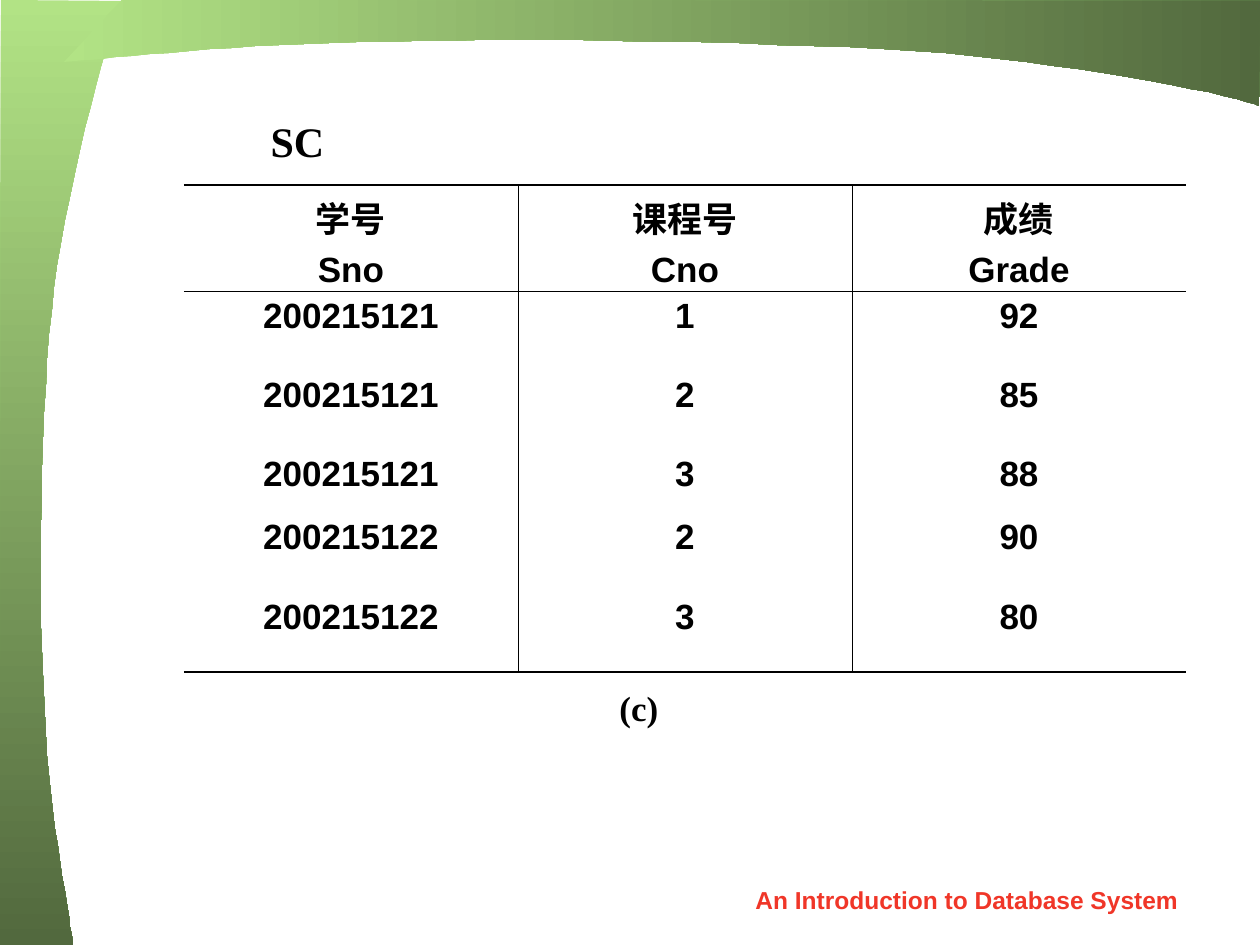
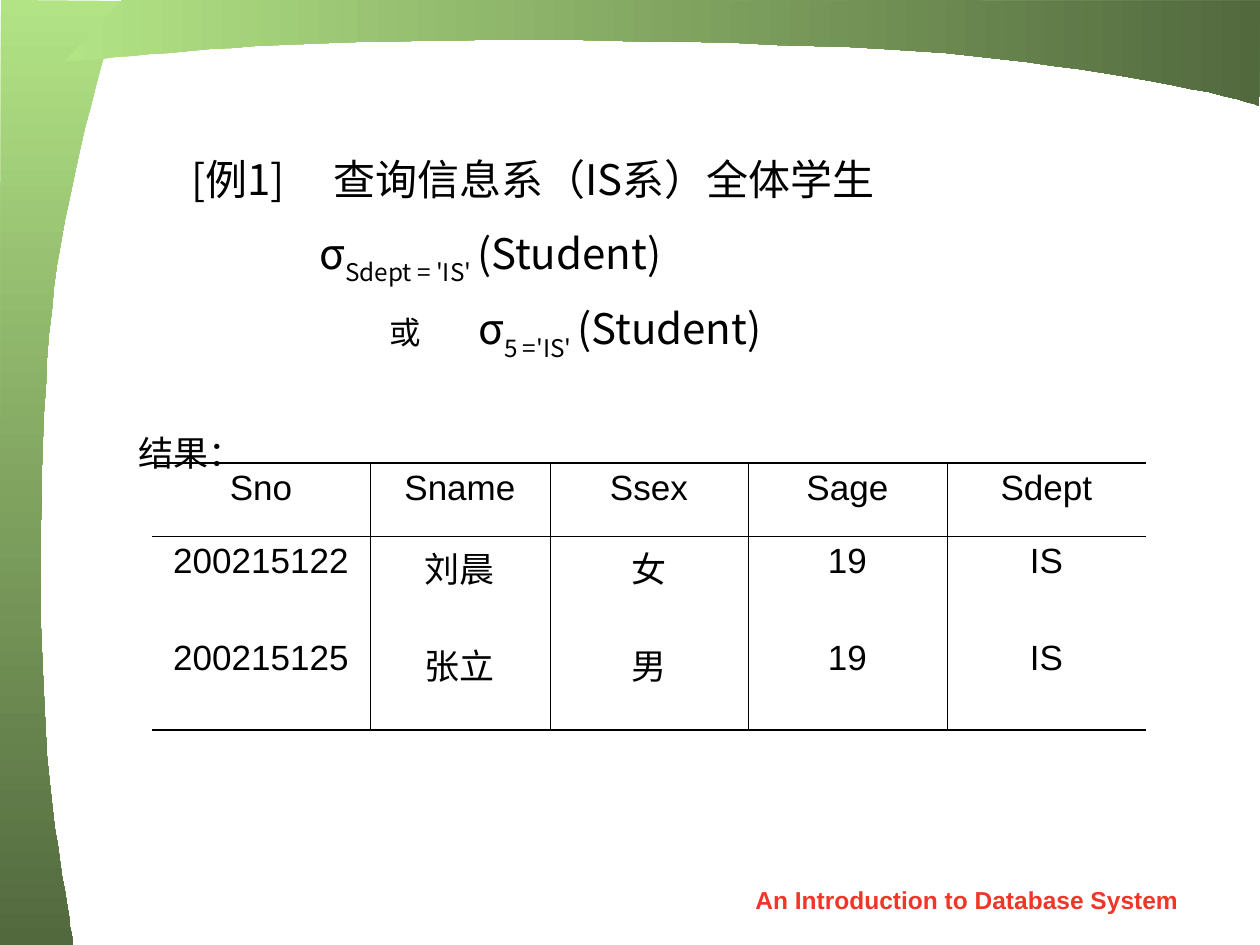
from dataclasses import dataclass

from lxml.etree import SubElement
from pptx import Presentation
from pptx.dml.color import RGBColor
from pptx.enum.text import MSO_ANCHOR as Anchor, PP_ALIGN as Align
from pptx.oxml import parse_xml
from pptx.oxml.ns import nsdecls, qn
from pptx.util import Emu, Pt

EMU_PER_PX = 914400 / 126


@dataclass(frozen=True)
class Theme:
    light: RGBColor = RGBColor(0xB2, 0xE3, 0x85)
    dark: RGBColor = RGBColor(0x52, 0x69, 0x3E)
    ink: RGBColor = RGBColor(0, 0, 0)
    accent: RGBColor = RGBColor(0xF0, 0x36, 0x28)
    sans: str = "Arial"
    serif: str = "Times New Roman"
    chinese: str = "Noto Sans CJK SC"
    heading: int = 24
    body: int = 20
    small: int = 18
    footer: int = 14
    thick: float = 1.08
    thin: float = 0.45


THEME = Theme()

SIDE_CURVES = [
    ((73, 945), (68, 903), (47, 805), (44, 696)),
    ((44, 696), (38, 585), (40, 406), (54, 287)),
    ((54, 287), (68, 175), (115, 13), (123, 1)),
]
TOP_CURVES = [
    ((64, 62), (117, 58), (237, 43), (384, 42)),
    ((384, 42), (523, 37), (796, 42), (946, 53)),
    ((946, 53), (1090, 66), (1244, 97), (1259, 106)),
]
GRADES = [
    ("学号\nSno", "课程号\nCno", "成绩\nGrade"),
    ("200215121", "1", "92"),
    ("200215121", "2", "85"),
    ("200215121", "3", "88"),
    ("200215122", "2", "90"),
    ("200215122", "3", "80"),
]
STUDENTS = [
    ("Sno", "Sname", "Ssex", "Sage", "Sdept"),
    ("200215122", "刘晨", "女", "19", "IS"),
    ("200215125", "张立", "男", "19", "IS"),
]


def px(length):
    return Emu(round(length * EMU_PER_PX))


def format_run(run, font_name, size, color=THEME.ink, bold=False):
    run.font.name = font_name
    run.font.size = Pt(size)
    run.font.bold = bold
    run.font.color.rgb = color
    east_asian = SubElement(run._r.get_or_add_rPr(), qn("a:ea"))
    east_asian.set("typeface", THEME.chinese)


def add_tabs(paragraph, *positions):
    tab_list = SubElement(paragraph._p.get_or_add_pPr(), qn("a:tabLst"))
    for position in positions:
        SubElement(tab_list, qn("a:tab"), pos=str(px(position)), algn="l")


def add_text_frame(slide, left, top, width, height, wrap=True):
    text_frame = slide.shapes.add_textbox(*map(px, (left, top, width, height))).text_frame
    text_frame.word_wrap = wrap
    return text_frame


def add_label(slide, text, box, font_name, size, color=THEME.ink, anchor=Anchor.TOP):
    text_frame = add_text_frame(slide, *box, wrap=False)
    text_frame.text = text
    text_frame.vertical_anchor = anchor
    paragraph = text_frame.paragraphs[0]
    paragraph.alignment = Align.CENTER
    format_run(paragraph.runs[0], font_name, size, color, bold=True)


def bezier_points(curve, steps=16):
    for step in range(1, steps + 1):
        t = step / steps
        weights = ((1 - t) ** 3, 3 * t * (1 - t) ** 2, 3 * t * t * (1 - t), t ** 3)
        yield tuple(sum(w * point[axis] for w, point in zip(weights, curve)) for axis in (0, 1))


def add_band(slide, curves, corners, angle):
    builder = slide.shapes.build_freeform(*curves[0][0], scale=EMU_PER_PX)
    for curve in curves:
        builder.add_line_segments(list(bezier_points(curve)), close=False)
    builder.add_line_segments(corners, close=True)
    band = builder.convert_to_shape()
    band.shadow.inherit = False
    band.line.fill.background()
    band.fill.gradient()
    band.fill.gradient_angle = angle
    for stop, color in zip(band.fill.gradient_stops, (THEME.light, THEME.dark)):
        stop.color.rgb = color


def add_base_slide(presentation):
    slide = presentation.slides.add_slide(presentation.slide_layouts[6])
    add_band(slide, SIDE_CURVES, [(1, 0), (0, 945)], 270)
    add_band(slide, TOP_CURVES, [(1260, 1), (122, 0)], 0)
    add_label(slide, "An Introduction to Database System", (719, 879, 496, 44),
              THEME.sans, THEME.footer, THEME.accent)
    return slide


def set_borders(cell, **widths):
    properties = cell._tc.get_or_add_tcPr()
    for index, side in enumerate("LRTB"):
        width = widths.get(side, 0)
        fill = f'<a:solidFill><a:srgbClr val="{THEME.ink}"/></a:solidFill>' if width else "<a:noFill/>"
        border = parse_xml(f'<a:ln{side} {nsdecls("a")} w="{Pt(width)}">{fill}</a:ln{side}>')
        properties.insert(index, border)


def fill_cell(cell, text, bold):
    cell.fill.background()
    cell.text_frame.text = text
    for index, paragraph in enumerate(cell.text_frame.paragraphs):
        paragraph.alignment = Align.CENTER
        if index:
            paragraph.space_before = Pt(5)
        format_run(paragraph.runs[0], THEME.sans, THEME.body, bold=bold)


def add_ruled_table(slide, rows, left, top, widths, heights, bold=False):
    frame = slide.shapes.add_table(len(rows), len(widths), px(left), px(top),
                                   px(sum(widths)), px(sum(heights)))
    table = frame.table
    table.first_row = table.horz_banding = False
    for column, width in zip(table.columns, widths):
        column.width = px(width)
    for row, height in zip(table.rows, heights):
        row.height = px(height)
    last_row, last_column = len(rows) - 1, len(widths) - 1
    for r, values in enumerate(rows):
        for c, value in enumerate(values):
            cell = table.cell(r, c)
            fill_cell(cell, value, bold)
            set_borders(
                cell,
                L=THEME.thin if c > 0 else 0,
                R=THEME.thin if c < last_column else 0,
                T={0: THEME.thick, 1: THEME.thin}.get(r, 0),
                B=THEME.thin if r == 0 else THEME.thick if r == last_row else 0,
            )


def add_example_title(slide):
    text_frame = add_text_frame(slide, 179, 147, 746, 67, wrap=False)
    text_frame.text = "[例1]\t查询信息系（IS系）全体学生"
    paragraph = text_frame.paragraphs[0]
    add_tabs(paragraph, 142)
    for run in paragraph.runs:
        format_run(run, THEME.chinese, THEME.heading)


def add_pieces(paragraph, pieces):
    for text, size, baseline in pieces:
        run = paragraph.add_run()
        run.text = text
        format_run(run, THEME.chinese, size)
        if baseline:
            run._r.get_or_add_rPr().set("baseline", str(baseline * 1000))


def selection(condition):
    return [("σ", THEME.heading, 0), (condition, THEME.heading, -30),
            ("(Student)", THEME.heading, 0)]


def add_formulas(slide):
    text_frame = add_text_frame(slide, 126, 221, 777, 261)
    lines = [
        (0, (181,), [("\t", THEME.heading, 0)] + selection("Sdept = 'IS' ")),
        (12.5, (251, 340), [("\t或\t", THEME.small, 0)] + selection("5 ='IS' ")),
        (46, (), [("结果：", THEME.body, 0)]),
    ]
    for index, (space_before, tabs, pieces) in enumerate(lines):
        paragraph = text_frame.add_paragraph() if index else text_frame.paragraphs[0]
        paragraph.line_spacing = 0.9
        if space_before:
            paragraph.space_before = Pt(space_before)
        if tabs:
            add_tabs(paragraph, *tabs)
        add_pieces(paragraph, pieces)


def build_grades_slide(presentation):
    slide = add_base_slide(presentation)
    add_label(slide, "(c)", (581, 680, 116, 97), THEME.serif, THEME.body)
    add_label(slide, "SC", (223, 106, 149, 69), THEME.serif, THEME.heading, anchor=Anchor.MIDDLE)
    add_ruled_table(slide, GRADES, 184, 185, [334] * 3, [106, 79, 79, 63, 80, 80], bold=True)


def build_selection_slide(presentation):
    slide = add_base_slide(presentation)
    add_example_title(slide)
    add_ruled_table(slide, STUDENTS, 152, 463, [218, 180, 198, 199, 199], [73, 97, 97])
    add_formulas(slide)


def main():
    presentation = Presentation()
    presentation.slide_width, presentation.slide_height = px(1260), px(945)
    build_grades_slide(presentation)
    build_selection_slide(presentation)
    presentation.save("out.pptx")


if __name__ == "__main__":
    main()
